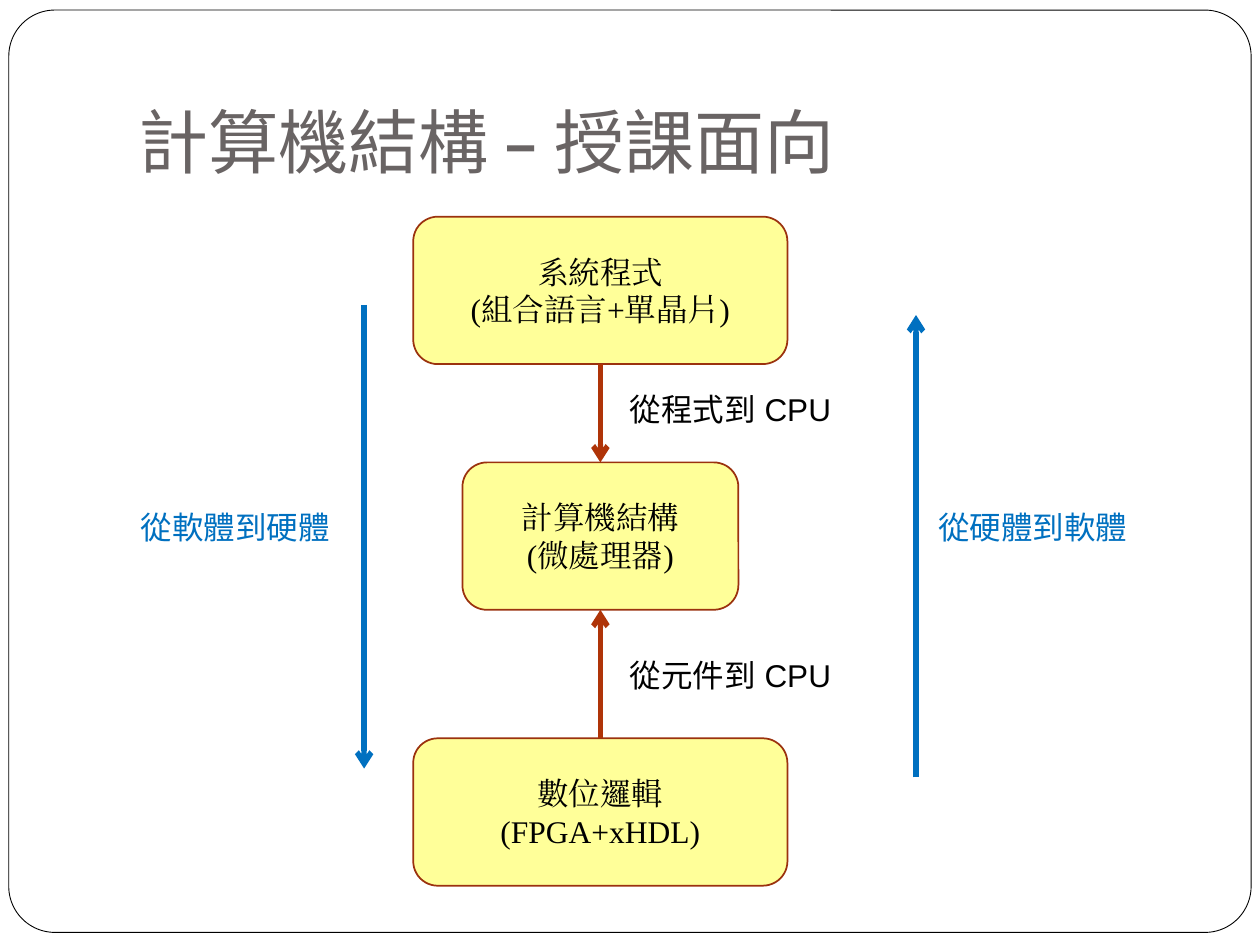
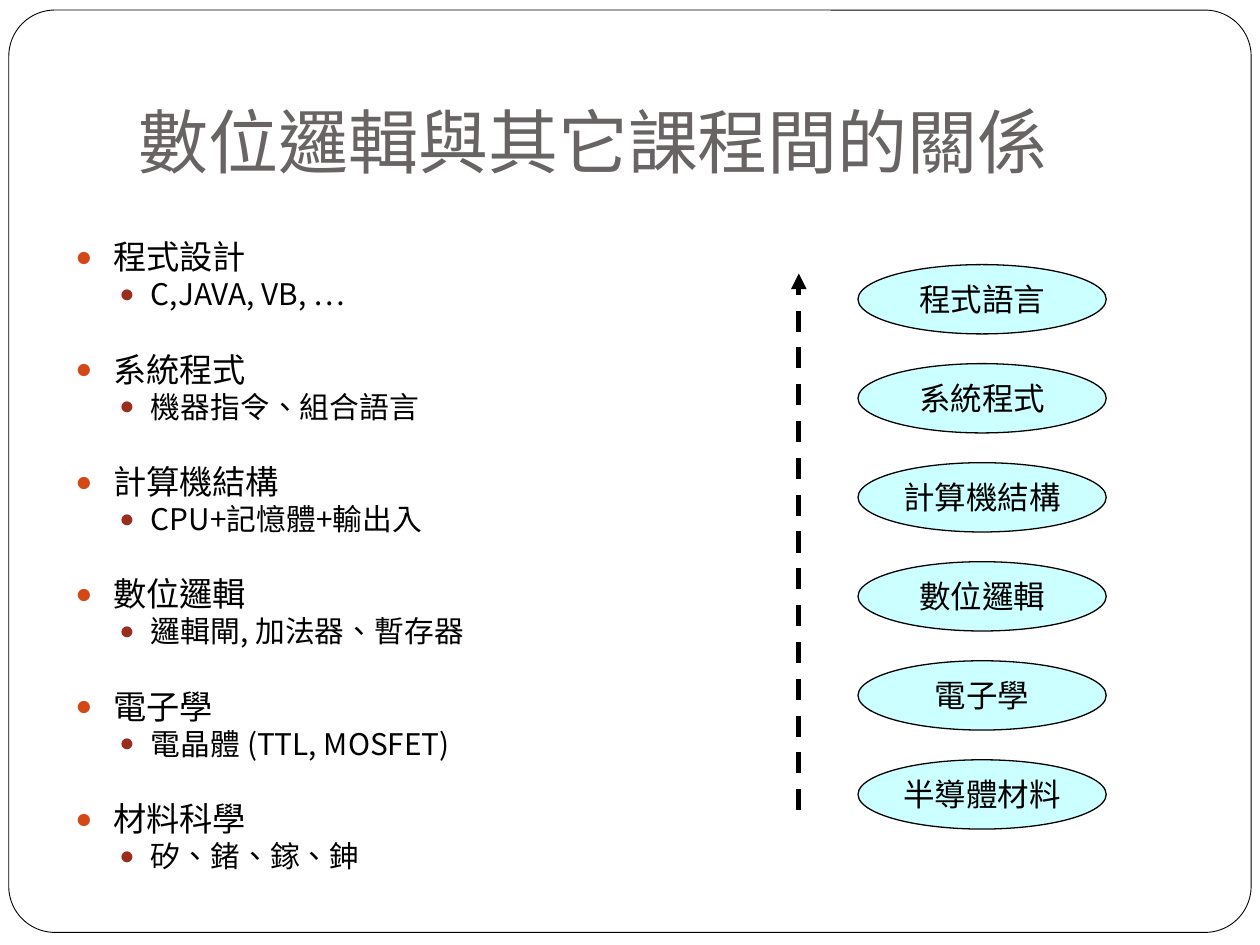
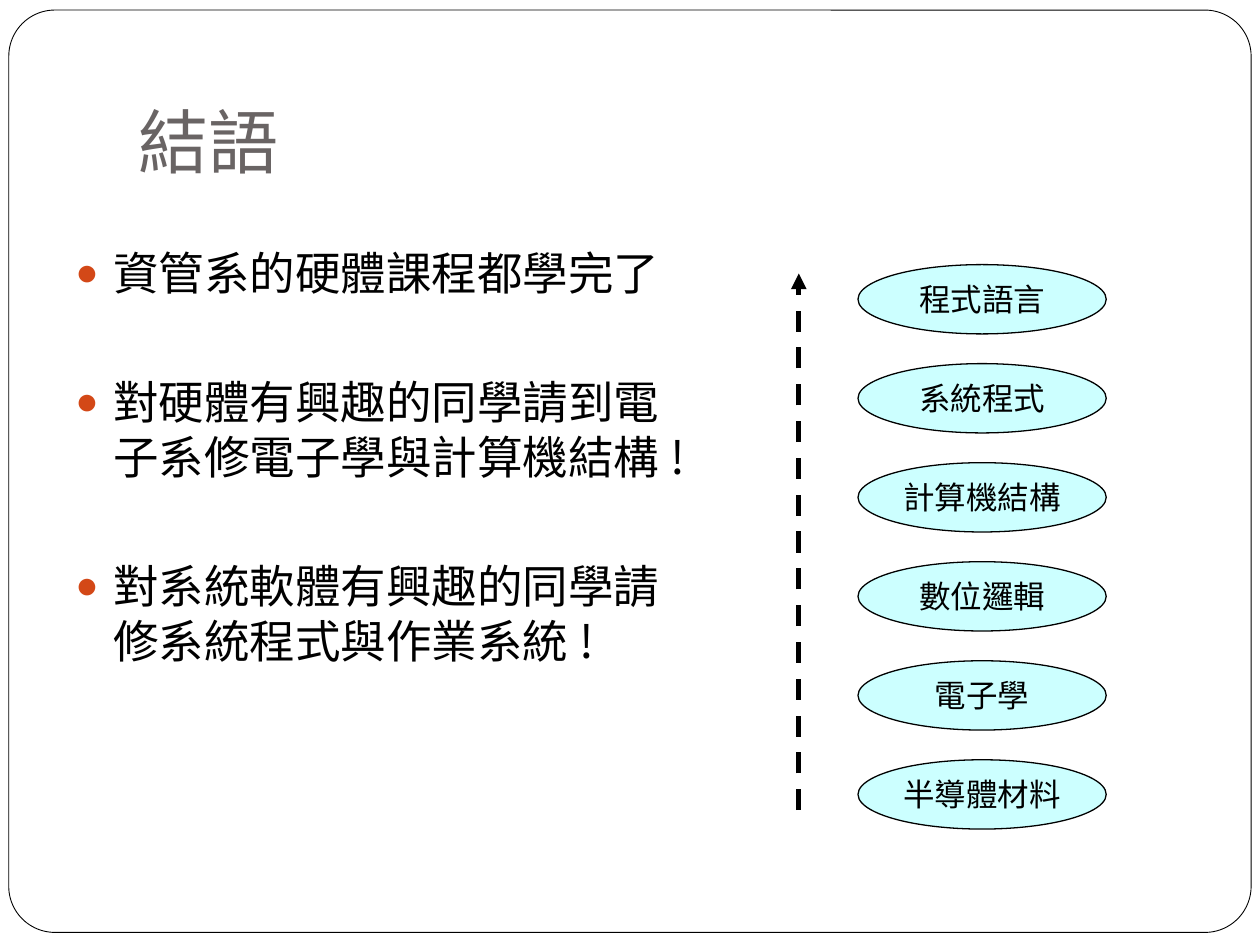
from dataclasses import dataclass

from lxml.etree import SubElement
from pptx import Presentation
from pptx.dml.color import RGBColor
from pptx.enum.dml import MSO_LINE
from pptx.enum.shapes import MSO_CONNECTOR, MSO_SHAPE
from pptx.enum.text import MSO_ANCHOR, MSO_AUTO_SIZE, PP_ALIGN
from pptx.oxml.ns import qn
from pptx.util import Inches, Pt


@dataclass(frozen=True)
class Theme:
    # Colours
    paper: str = "FFFFFF"
    ink: str = "000000"
    title: str = "696464"
    box: str = "FFFF99"
    box_edge: str = "9B320E"
    link: str = "AF3408"
    direction: str = "0070C0"
    oval: str = "CCFFFF"
    bullets: tuple = ("D34817", "9B2D1F")
    # Fonts and sizes
    sans: str = "Arial"
    serif: str = "Times New Roman"
    display: str = "Cabin"
    cjk: str = "Noto Sans CJK SC"
    title_size: int = 40
    label_size: int = 18
    topic_size: int = 19
    detail_size: int = 17
    closing_size: int = 26


def write(paragraph, text, *, size, font, color, align=PP_ALIGN.LEFT,
          line=None, before=0):
    """Put formatted text in a paragraph; line and before are in points."""
    paragraph.alignment = align
    paragraph.space_before = Pt(before)
    if line:
        paragraph.line_spacing = Pt(line)
    run = paragraph.add_run()
    run.text = text
    run.font.size = Pt(size)
    run.font.name = font
    run.font.color.rgb = RGBColor.from_string(color)
    properties = run.font._element
    properties.set("lang", "zh-TW")
    SubElement(properties, qn("a:ea"), typeface=font)


def add_bullet(paragraph, color, left, hang):
    properties = paragraph._p.get_or_add_pPr()
    properties.set("marL", str(Inches(left)))
    properties.set("indent", str(-Inches(hang)))
    bullet_color = SubElement(properties, qn("a:buClr"))
    SubElement(bullet_color, qn("a:srgbClr"), val=color)
    SubElement(properties, qn("a:buSzPct"), val="85000")
    SubElement(properties, qn("a:buFont"), typeface="Arial")
    SubElement(properties, qn("a:buChar"), char="●")


class Deck:
    def __init__(self, theme):
        self.theme = theme
        self.presentation = Presentation()
        self.presentation.slide_width = Inches(10)
        self.presentation.slide_height = Inches(7.5)
        self.slide = None

    def new_slide(self, title, font):
        theme = self.theme
        layout = self.presentation.slide_layouts[5]
        self.slide = self.presentation.slides.add_slide(layout)

        # Rounded page border, behind the title
        border = self.shape(MSO_SHAPE.ROUNDED_RECTANGLE, 0.07, 0.08, 9.86, 7.32,
                            fill=theme.paper, edge=theme.ink, weight=0.5)
        border.adjustments[0] = 0.05
        self.slide.shapes._spTree.insert(2, border._element)

        heading = self.slide.shapes.title
        heading.left, heading.top = Inches(1), Inches(0.3)
        heading.width, heading.height = Inches(8.5), Inches(1.25)
        frame = heading.text_frame
        frame.auto_size = MSO_AUTO_SIZE.NONE
        frame.vertical_anchor = MSO_ANCHOR.BOTTOM
        frame.margin_bottom = Inches(0.1)
        write(frame.paragraphs[0], title, size=theme.title_size, font=font,
              color=theme.title)

    def shape(self, kind, left, top, width, height, *, fill, edge, weight,
              lines=(), font=None, wrap=True):
        shape = self.slide.shapes.add_shape(
            kind, Inches(left), Inches(top), Inches(width), Inches(height))
        shape.shadow.inherit = False
        shape.fill.solid()
        shape.fill.fore_color.rgb = RGBColor.from_string(fill)
        shape.line.color.rgb = RGBColor.from_string(edge)
        shape.line.width = Pt(weight)
        frame = shape.text_frame
        frame.word_wrap = wrap
        frame.vertical_anchor = MSO_ANCHOR.MIDDLE
        for index, text in enumerate(lines):
            paragraph = frame.add_paragraph() if index else frame.paragraphs[0]
            write(paragraph, text, size=self.theme.label_size, font=font,
                  color=self.theme.ink, align=PP_ALIGN.CENTER)
        return shape

    def arrow(self, start, end, *, color, head="arrow", dash=None):
        connector = self.slide.shapes.add_connector(
            MSO_CONNECTOR.STRAIGHT, *(Inches(v) for v in (*start, *end)))
        connector.line.color.rgb = RGBColor.from_string(color)
        connector.line.width = Pt(3)
        if dash:
            connector.line.dash_style = dash
        SubElement(connector.line._get_or_add_ln(), qn("a:tailEnd"), type=head)
        SubElement(connector._element.spPr, qn("a:effectLst"))

    def label(self, text, left, top, width, color):
        box = self.slide.shapes.add_textbox(
            Inches(left), Inches(top), Inches(width), Inches(0.4))
        box.text_frame.word_wrap = False
        box.text_frame.auto_size = MSO_AUTO_SIZE.SHAPE_TO_FIT_TEXT
        write(box.text_frame.paragraphs[0], text, size=self.theme.label_size,
              font=self.theme.sans, color=color)

    def bullet_list(self, items, width, height, levels):
        """Items are (level, text); levels hold indents and text format."""
        box = self.slide.shapes.add_textbox(
            Inches(0.5), Inches(1.89), Inches(width), Inches(height))
        frame = box.text_frame
        frame.word_wrap = True
        for index, (level, text) in enumerate(items):
            paragraph = frame.add_paragraph() if index else frame.paragraphs[0]
            left, hang, size, line, before = levels[level]
            paragraph.level = level
            add_bullet(paragraph, self.theme.bullets[level], left, hang)
            write(paragraph, text, size=size, font=self.theme.cjk,
                  color=self.theme.ink, line=line, before=before if index else 0)

    def course_ladder(self):
        courses = ["程式語言", "系統程式", "計算機結構", "數位邏輯", "電子學",
                   "半導體材料"]
        first, last = 2.1, 6.03
        pitch = (last - first) / (len(courses) - 1)
        for row, course in enumerate(courses):
            self.shape(MSO_SHAPE.OVAL, 6.81, first + row * pitch, 1.97, 0.55,
                       fill=self.theme.oval, edge=self.theme.ink, weight=0.75,
                       lines=[course], font=self.theme.sans, wrap=False)
        self.arrow((6.34, 6.43), (6.34, 2.17), color=self.theme.ink,
                   head="triangle", dash=MSO_LINE.DASH)


def teaching_slide(deck):
    theme = deck.theme
    deck.new_slide("計算機結構 – 授課面向", theme.display)

    # Layers, centred on one axis
    axis, layer_height = 4.765, 1.17
    layers = [
        (1.72, 2.97, ["系統程式", "(組合語言+單晶片)"]),
        (3.67, 2.19, ["計算機結構", "(微處理器)"]),
        (5.86, 2.97, ["數位邏輯", "(FPGA+xHDL)"]),
    ]
    for top, width, lines in layers:
        deck.shape(MSO_SHAPE.ROUNDED_RECTANGLE, axis - width / 2, top, width,
                   layer_height, fill=theme.box, edge=theme.box_edge, weight=1,
                   lines=lines, font=theme.serif)

    # Links into the middle layer
    system_top, middle_top, logic_top = (layer[0] for layer in layers)
    deck.arrow((axis, system_top + layer_height), (axis, middle_top),
               color=theme.link)
    deck.arrow((axis, logic_top), (axis, middle_top + layer_height),
               color=theme.link)
    deck.label("從程式到 CPU", 4.9, 3.05, 1.85, theme.ink)
    deck.label("從元件到 CPU", 4.9, 5.16, 1.85, theme.ink)

    # Overall directions
    deck.arrow((2.89, 2.42), (2.89, 6.1), color=theme.direction)
    deck.arrow((7.27, 6.17), (7.27, 2.5), color=theme.direction)
    deck.label("從軟體到硬體", 1.02, 3.98, 1.7, theme.direction)
    deck.label("從硬體到軟體", 7.35, 3.98, 1.7, theme.direction)


def relations_slide(deck):
    theme = deck.theme
    deck.new_slide("數位邏輯與其它課程間的關係", theme.cjk)
    topics = [
        ("程式設計", "C,JAVA, VB, …"),
        ("系統程式", "機器指令、組合語言"),
        ("計算機結構", "CPU+記憶體+輸出入"),
        ("數位邏輯", "邏輯閘, 加法器、暫存器"),
        ("電子學", "電晶體 (TTL, MOSFET)"),
        ("材料科學", "矽、鍺、鎵、鉮"),
    ]
    items = [item for topic in topics for item in enumerate(topic)]
    deck.bullet_list(items, 6.07, 5.26, levels=[
        (0.3, 0.3, theme.topic_size, 18.4, 25.7),
        (0.6, 0.25, theme.detail_size, 16.4, 3.7),
    ])
    deck.course_ladder()


def closing_slide(deck):
    theme = deck.theme
    deck.new_slide("結語", theme.cjk)
    remarks = [
        "資管系的硬體課程都學完了",
        "對硬體有興趣的同學請到電子系修電子學與計算機結構 !",
        "對系統軟體有興趣的同學請修系統程式與作業系統 !",
    ]
    deck.bullet_list([(0, remark) for remark in remarks], 5.13, 4.82,
                     levels=[(0.3, 0.3, theme.closing_size, 31.4, 42.3)])
    deck.course_ladder()


def main():
    deck = Deck(Theme())
    teaching_slide(deck)
    relations_slide(deck)
    closing_slide(deck)
    deck.presentation.save("out.pptx")


if __name__ == "__main__":
    main()
